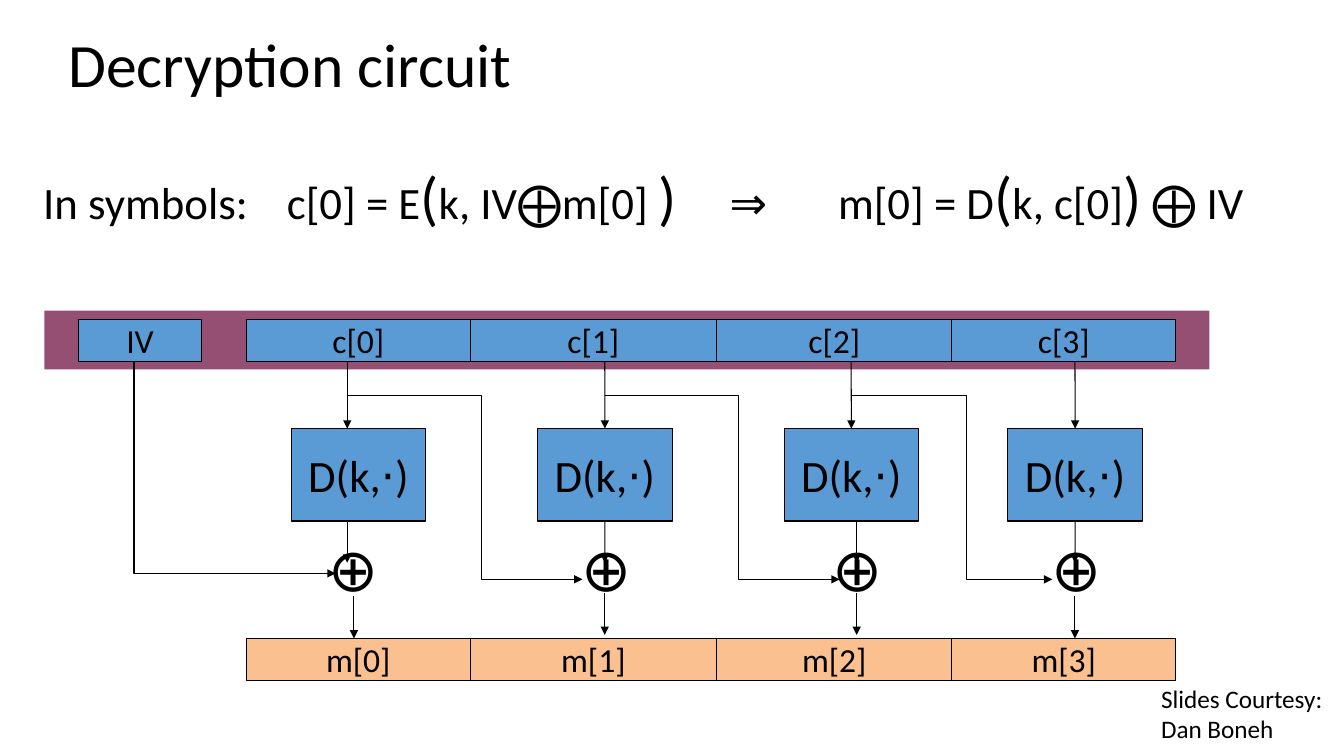
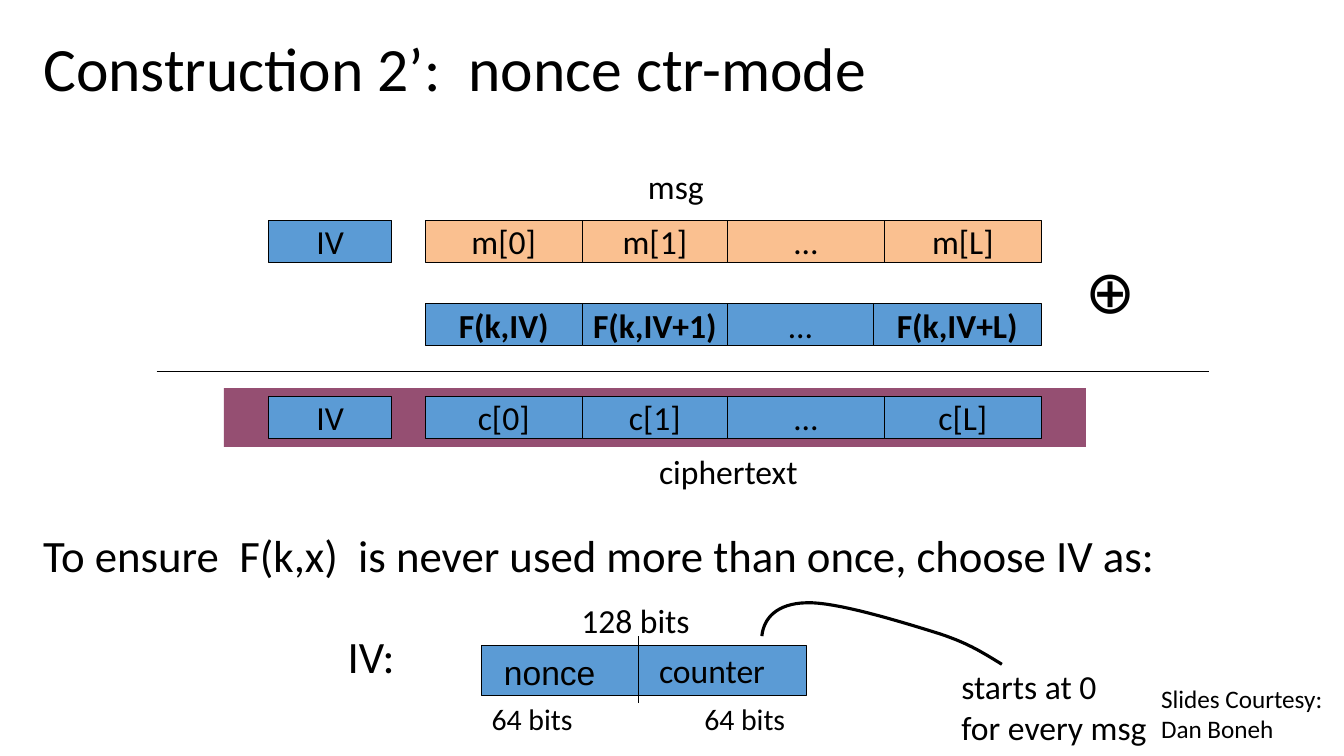
from lxml.etree import SubElement
from pptx import Presentation
from pptx.dml.color import RGBColor
from pptx.enum.shapes import MSO_CONNECTOR, MSO_SHAPE
from pptx.enum.text import MSO_ANCHOR, PP_ALIGN
from pptx.oxml.ns import qn
from pptx.util import Cm, Pt

# All positions and lengths are in centimetres, text sizes in points.
BLACK, BLUE, PEACH, PLUM = "000000", "5B9BD5", "FAC090", "954F72"
FONT = "Calibri"
TITLE_SIZE, BODY_SIZE, CELL_SIZE, XOR_SIZE = 44, 32, 24, 42.7
ROW_H, IV_W = 1.06, 3.1
BAND_H = 1.48
XOR_W, XOR_H = 1.68, 2.08
COURTESY = "Slides Courtesy:\nDan Boneh"

# Decryption circuit
SYMBOLS = [
    ("In symbols:\tc[0] = E", BODY_SIZE), ("(", XOR_SIZE),
    ("k, IV⨁m[0] ", BODY_SIZE), (")", XOR_SIZE),
    ("\t⇒\tm[0] = D", BODY_SIZE), ("(", XOR_SIZE),
    ("k, c[0]", BODY_SIZE), (")", XOR_SIZE), (" ⨁ IV", BODY_SIZE),
]
SYMBOL_TABS = [6.14, 17.3, 20.03]
CIRCUIT_LEFT, CIRCUIT_WIDTHS = 6.21, [5.64, 6.21, 5.93, 5.64]
CIPHER_TOP, PLAIN_TOP = 8.04, 16.09
D_TOP, D_W, D_H = 10.8, 3.39, 2.33
ELBOW_TOP, ELBOW_BOTTOM = 9.96, 14.6
# Per block: left of D box, x of the arrows into D, out of D and into m,
# left of the XOR sign, bottom end of the last arrow
STAGES = [
    (7.34, 8.75, 8.75, 8.92, 8.03, 16.09),
    (13.55, 15.24, 15.24, 15.24, 14.4, 16),
    (19.76, 21.45, 21.59, 21.59, 20.73, 16),
    (25.4, 27.09, 27.09, 27.09, 26.24, 16.09),
]
# Turning point and end of the feed from each block to the next
FEEDS = [(12.14, 14.68), (18.62, 21.16), (24.36, 26.52)]

# Nonce counter mode
CTR_LEFT, CTR_WIDTHS, CTR_IV_LEFT = 10.72, [3.95, 3.67, 3.95, 3.95], 6.77
CTR_ROWS = [
    (5.55, ["m[0]", "m[1]", "…", "m[L]"], CTR_WIDTHS, PEACH, True),
    (7.66, ["F(k,IV)", "F(k,IV+1)", "…", "F(k,IV+L)"],
     [3.95, 3.67, 3.67, 4.23], BLUE, False),
    (9.99, ["c[0]", "c[1]", "…", "c[L]"], CTR_WIDTHS, BLUE, True),
]
CTR_LABELS = [
    ("msg", 16.08, 4.06, 2.3, 1.27, 24),
    ("ciphertext", 16.36, 11.25, 4.3, 1.27, 24),
    ("128 bits", 14.4, 14.99, 3.5, 1.27, 24),
    ("counter", 16.36, 16.26, 3.5, 1.27, 24),
    ("IV:", 8.51, 15.72, 2, 1.63, BODY_SIZE),
    ("64 bits", 12.14, 17.53, 3, 1.17, 21.3),
    ("64 bits", 17.5, 17.53, 3, 1.17, 21.3),
    ("To ensure  F(k,x)  is never used more than once, choose IV as:",
     0.84, 13.18, 30, 1.63, BODY_SIZE),
    ("starts at 0\vfor every msg", 23.98, 16.66, 5.5, 2.31, 24),
]
POINTER_START = (25.25, 16.74)
POINTER_CURVES = [
    ((24.74, 16.43), (24.36, 16.18), (23.55, 15.93)),
    ((22.71, 15.67), (21.06, 15.16), (20.32, 15.19)),
    ((19.58, 15.21), (19.25, 15.57), (19.2, 16.03)),
]


def rgb(value):
    return RGBColor.from_string(value)


def style_font(font, size, name=FONT, bold=False):
    font.size, font.name, font.bold = Pt(size), name, bold
    font.color.rgb = rgb(BLACK)


def set_text(tf, text, size, name=FONT, bold=False, align=PP_ALIGN.LEFT):
    tf.word_wrap = True
    tf.text = text
    for p in tf.paragraphs:
        p.alignment = align
        for r in p.runs:
            style_font(r.font, size, name, bold)


def add_text(slide, text, x, y, w, h, size):
    tf = slide.shapes.add_textbox(Cm(x), Cm(y), Cm(w), Cm(h)).text_frame
    set_text(tf, text, size)
    return tf


def add_title(slide, text, x, y, w, h):
    tf = add_text(slide, text, x, y, w, h, TITLE_SIZE)
    tf.vertical_anchor = MSO_ANCHOR.MIDDLE
    tf.paragraphs[0].line_spacing = 0.9


def add_xor(slide, x, y):
    add_text(slide, "⊕", x, y, XOR_W, XOR_H, XOR_SIZE)


def add_rect(slide, x, y, w, h, fill, outlined=True):
    sp = slide.shapes.add_shape(MSO_SHAPE.RECTANGLE, Cm(x), Cm(y), Cm(w), Cm(h))
    sp.shadow.inherit = False
    sp.fill.solid()
    sp.fill.fore_color.rgb = rgb(fill)
    if outlined:
        style_line(sp.line)
    else:
        sp.line.fill.background()
    return sp


def add_cell(slide, text, x, y, w, h=ROW_H, fill=BLUE, size=CELL_SIZE):
    sp = add_rect(slide, x, y, w, h, fill)
    tf = sp.text_frame
    tf.margin_left = tf.margin_right = Cm(0.1)
    tf.vertical_anchor = MSO_ANCHOR.MIDDLE
    set_text(tf, text, size, bold=text.startswith("F("), align=PP_ALIGN.CENTER)
    return sp


def add_row(slide, texts, x, y, widths, fill):
    for text, w in zip(texts, widths):
        add_cell(slide, text, x, y, w, fill=fill)
        x += w


def style_line(line, width=0.75, arrow=False):
    line.color.rgb = rgb(BLACK)
    line.width = Pt(width)
    if arrow:
        SubElement(line._get_or_add_ln(), qn("a:tailEnd"), type="triangle")


def add_line(slide, x1, y1, x2, y2, arrow=False):
    cn = slide.shapes.add_connector(
        MSO_CONNECTOR.STRAIGHT, Cm(x1), Cm(y1), Cm(x2), Cm(y2))
    style_line(cn.line, arrow=arrow)
    SubElement(cn._element.spPr, qn("a:effectLst"))
    return cn


def add_path(slide, points, width=0.75, arrow=False):
    """Draw an open, unfilled outline through the points."""
    start, *rest = [(Cm(x), Cm(y)) for x, y in points]
    builder = slide.shapes.build_freeform(*start)
    builder.add_line_segments(rest, close=False)
    sp = builder.convert_to_shape()
    sp.shadow.inherit = False
    sp.fill.background()
    style_line(sp.line, width, arrow)


def curve_points(start, curves, steps=16):
    """Sample a chain of cubic Bézier curves."""
    points = [start]
    for a, b, end in curves:
        for i in range(1, steps + 1):
            t = i / steps
            u = 1 - t
            points.append(tuple(
                u**3 * p0 + 3 * u * u * t * p1 + 3 * u * t * t * p2 + t**3 * p3
                for p0, p1, p2, p3 in zip(start, a, b, end)))
        start = end
    return points


def new_slide(prs, title, box):
    slide = prs.slides.add_slide(prs.slide_layouts[6])
    add_title(slide, title, *box)
    add_text(slide, COURTESY, 29.01, 17.09, 4.86, 1.8, 18)
    return slide


def add_symbols(slide):
    tf = add_text(slide, "", 0.84, 3.89, 32, XOR_H, BODY_SIZE)
    p = tf.paragraphs[0]
    tabs = SubElement(p._p.get_or_add_pPr(), qn("a:tabLst"))
    for pos in SYMBOL_TABS:
        SubElement(tabs, qn("a:tab"), pos=str(int(Cm(pos))), algn="l")
    for text, size in SYMBOLS:
        r = p.add_run()
        r.text = text
        style_font(r.font, size)


def add_stage(slide, d_left, x_in, x_out, x_plain, xor_left, y_end):
    box = add_cell(slide, "D(k,⋅)", d_left, D_TOP, D_W, D_H, size=BODY_SIZE)
    add_xor(slide, xor_left, 13.28)
    middle, d_bottom = d_left + D_W / 2, D_TOP + D_H
    arrow_in = add_line(slide, x_in, CIPHER_TOP + ROW_H, x_in, D_TOP, True)
    arrow_out = add_line(slide, x_out, d_bottom, x_out, 14.18, True)
    if abs(x_in - middle) < 0.02:
        arrow_in.end_connect(box, 0)
    if abs(x_out - middle) < 0.02:
        arrow_out.begin_connect(box, 2)
    add_line(slide, x_plain, y_end - ROW_H, x_plain, y_end, True)


def build_circuit(prs):
    slide = new_slide(prs, "Decryption circuit", (1.47, -0.13, 29.21, 3.68))
    add_symbols(slide)
    add_rect(slide, 1.12, 7.83, 29.36, BAND_H, PLUM, outlined=False)
    for stage in STAGES:
        add_stage(slide, *stage)
    add_path(slide, [(3.38, 9.04), (3.38, 14.45), (8.46, 14.45)], 1, True)
    for stage, (x_turn, x_end) in zip(STAGES, FEEDS):
        add_path(slide, [(stage[1], ELBOW_TOP), (x_turn, ELBOW_TOP),
                         (x_turn, ELBOW_BOTTOM), (x_end, ELBOW_BOTTOM)],
                 arrow=True)
    for letter, y, fill in (("c", CIPHER_TOP, BLUE), ("m", PLAIN_TOP, PEACH)):
        texts = [f"{letter}[{i}]" for i in range(len(STAGES))]
        add_row(slide, texts, CIRCUIT_LEFT, y, CIRCUIT_WIDTHS, fill)
    add_cell(slide, "IV", 1.98, CIPHER_TOP, IV_W)


def build_counter_mode(prs):
    slide = new_slide(prs, "Construction 2’:  nonce ctr-mode",
                      (0.84, 0.64, 32.18, 2.34))
    add_rect(slide, 5.64, 9.78, 21.73, BAND_H, PLUM, outlined=False)
    for y, texts, widths, fill, has_iv in CTR_ROWS:
        add_row(slide, texts, CTR_LEFT, y, widths, fill)
        if has_iv:
            add_cell(slide, "IV", CTR_IV_LEFT, y, IV_W)
    add_xor(slide, 27.1, 6.27)
    add_line(slide, 3.95, 9.36, 30.48, 9.36)

    tf = add_rect(slide, 12.14, 16.26, 8.18, 1.27, BLUE).text_frame
    tf.margin_left, tf.margin_top = Cm(0.56), Cm(0.18)
    tf.vertical_anchor = MSO_ANCHOR.TOP
    set_text(tf, "nonce", CELL_SIZE, name="Arial")
    add_line(slide, 16.08, 16.03, 16.08, 17.71)

    for label in CTR_LABELS:
        add_text(slide, *label)
    add_path(slide, curve_points(POINTER_START, POINTER_CURVES), 2.25)


def main():
    prs = Presentation()
    prs.slide_width, prs.slide_height = Cm(33.87), Cm(19.05)
    build_circuit(prs)
    build_counter_mode(prs)
    prs.save("out.pptx")


if __name__ == "__main__":
    main()
